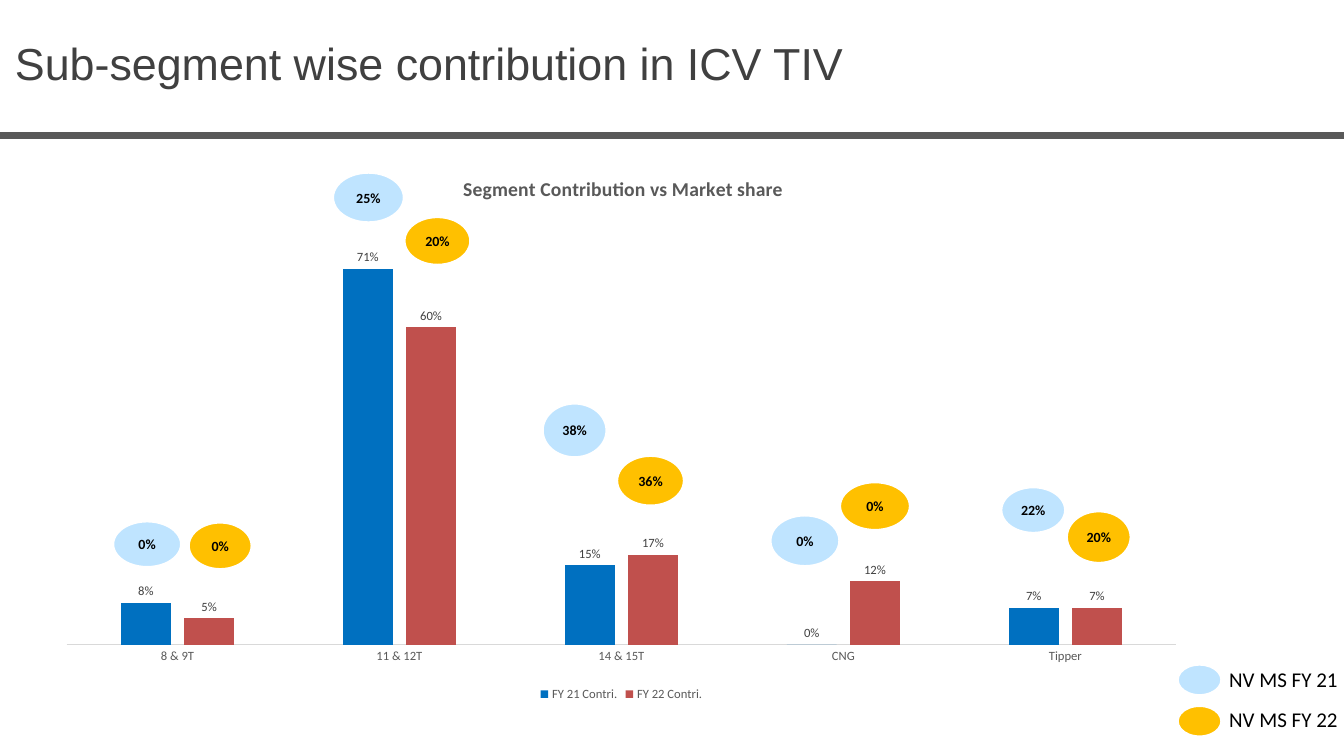
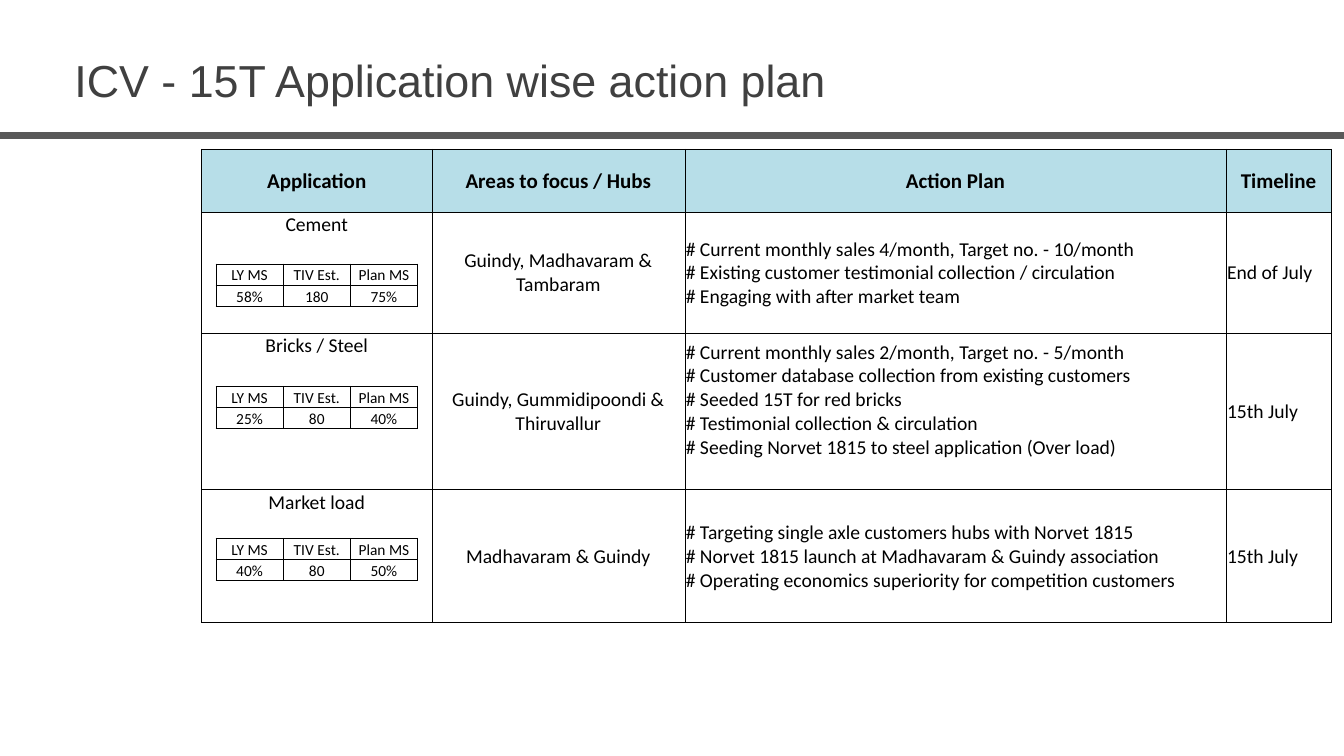
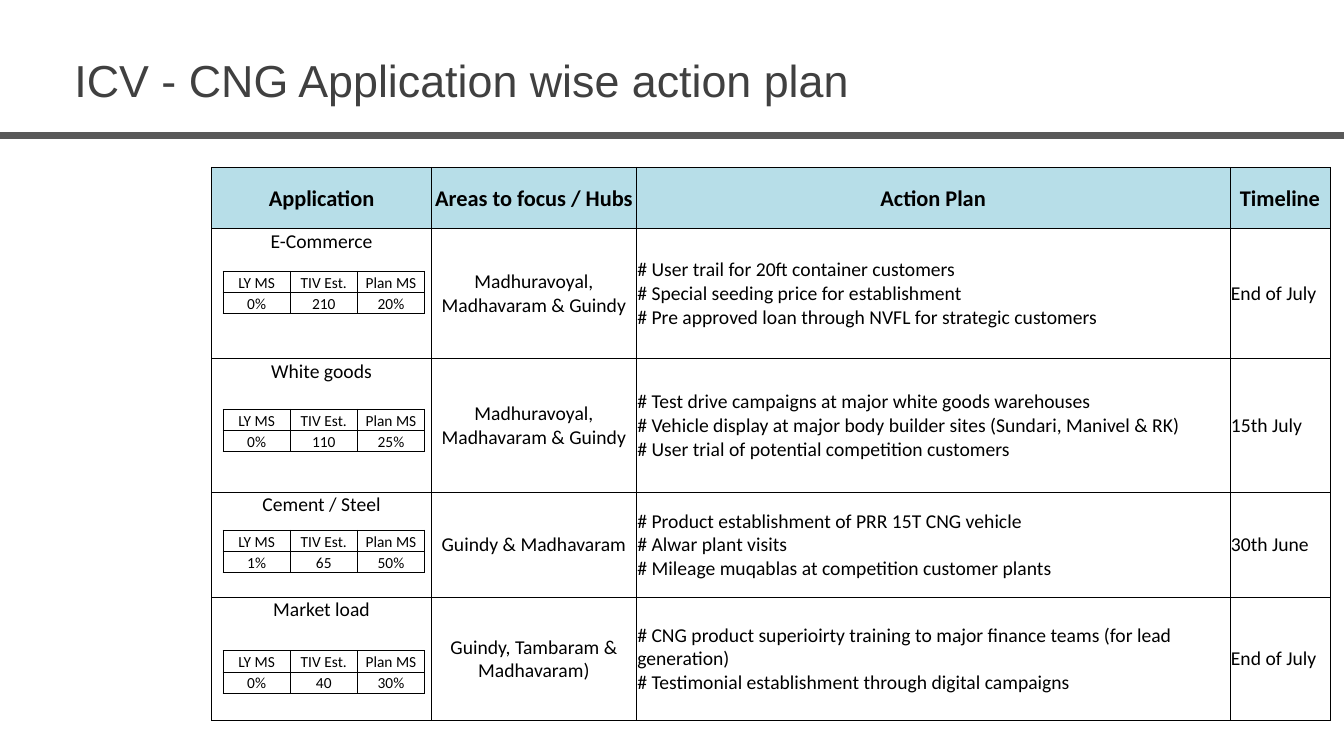
"""Build three slides on the ICV segment: a share chart and two action plans."""
from lxml import etree
from pptx import Presentation
from pptx.chart.data import CategoryChartData
from pptx.dml.color import RGBColor
from pptx.enum import chart as ec, shapes as es, text as et
from pptx.oxml import parse_xml
from pptx.oxml.ns import nsdecls, qn
from pptx.util import Pt

BLACK = RGBColor(0, 0, 0)
WHITE = RGBColor(255, 255, 255)
INK = RGBColor(0x40, 0x40, 0x40)
GREY = RGBColor(0x59, 0x59, 0x59)
PALE = RGBColor(0xD9, 0xD9, 0xD9)
BLUE = RGBColor(0x00, 0x70, 0xC0)
RED = RGBColor(0xC0, 0x50, 0x4D)
SKY = RGBColor(0xBF, 0xE4, 0xFF)
GOLD = RGBColor(0xFF, 0xC0, 0x00)
TEAL = RGBColor(0xB7, 0xDE, 0xE8)
MID = et.MSO_ANCHOR.MIDDLE
CENTER = et.PP_ALIGN.CENTER
LEFT = et.PP_ALIGN.LEFT


def style(font, size, color=BLACK, bold=False, name="Calibri"):
    look = {"size": Pt(size), "bold": bold, "name": name}
    for key, val in look.items():
        setattr(font, key, val)
    font.color.rgb = color


def grid(slide, x, y, cols, rows, data, look):
    frame = slide.shapes.add_table(len(rows), len(cols), Pt(x), Pt(y), Pt(sum(cols)), Pt(sum(rows)))
    table = frame.table
    table.first_row = table.horz_banding = False
    for col, wide in zip(table.columns, cols):
        col.width = Pt(wide)
    for r, (row, high) in enumerate(zip(data, rows)):
        table.rows[r].height = Pt(high)
        for c, words in enumerate(row):
            size, bold, fill, align, anchor = look(r, c)
            cell = table.cell(r, c)
            cell.text = words
            form = {"margin_left": Pt(0.7), "margin_right": Pt(0.7), "margin_top": Pt(0.7),
                    "margin_bottom": Pt(0), "vertical_anchor": anchor}
            for key, val in form.items():
                setattr(cell, key, val)
            for para in cell.text_frame.paragraphs:
                para.alignment = align
                style(para.font, size, bold=bold)
            if fill:
                cell.fill.solid()
                cell.fill.fore_color.rgb = fill
            else:
                cell.fill.background()
            props = cell._tc.get_or_add_tcPr()
            for i, side in enumerate("LRTB"):
                props.insert(i, parse_xml(
                    f'<a:ln{side} {nsdecls("a")} w="{Pt(0.5)}"><a:solidFill>'
                    f'<a:srgbClr val="{BLACK}"/></a:solidFill></a:ln{side}>'))
    return table


deck = Presentation()
deck.slide_width, deck.slide_height = Pt(960), Pt(540)
slides = []
for title, x, y, wide in [
    ("Sub-segment wise contribution in ICV TIV", 3.6, 22.3, 621.4),
    ("ICV - 15T Application wise action plan", 46.1, 33.8, 593.3),
    ("ICV - CNG Application wise action plan", 46.1, 33.8, 593.3),
]:
    slide = deck.slides.add_slide(deck.slide_layouts[6])
    rule = slide.shapes.add_connector(es.MSO_CONNECTOR.STRAIGHT, 0, Pt(97), Pt(960), Pt(97))
    rule.line.color.rgb, rule.line.width = GREY, Pt(5)
    etree.SubElement(rule._element.spPr, qn("a:effectLst"))
    head = slide.shapes.add_textbox(Pt(x), Pt(y), Pt(wide), Pt(46)).text_frame
    head.word_wrap = True
    head.text = title
    style(head.paragraphs[0].font, 32, INK, name="Arial")
    slides.append(slide)

share = slides[0]
data = CategoryChartData(number_format="0%")
data.categories = ["8 & 9T", "11 & 12T", "14 & 15T", "CNG", "Tipper"]
data.add_series("FY 21 Contri.", [0.08, 0.71, 0.15, 0, 0.07])
data.add_series("FY 22 Contri.", [0.05, 0.6, 0.17, 0.12, 0.07])
chart = share.shapes.add_chart(ec.XL_CHART_TYPE.COLUMN_CLUSTERED, Pt(31), Pt(110.9),
                               Pt(825.8), Pt(393.1), data).chart
style(chart.font, 10)
chart.has_title = True
name = chart.chart_title.text_frame
name.text = "Segment Contribution vs Market share"
style(name.paragraphs[0].runs[0].font, 14, GREY, True)
chart.has_legend = True
chart.legend.position = ec.XL_LEGEND_POSITION.BOTTOM
chart.legend.include_in_layout = False
style(chart.legend.font, 9, GREY)
cat = chart.category_axis
cat.major_tick_mark = ec.XL_TICK_MARK.NONE
cat.format.line.color.rgb, cat.format.line.width = PALE, Pt(0.75)
style(cat.tick_labels.font, 9, GREY)
scale = {"visible": False, "has_major_gridlines": False, "minimum_scale": 0, "maximum_scale": 0.8}
for key, val in scale.items():
    setattr(chart.value_axis, key, val)
plot = chart.plots[0]
plot.gap_width, plot.overlap, plot.vary_by_categories = 219, -27, False
for bars, color in zip(plot.series, [BLUE, RED]):
    bars.format.fill.solid()
    bars.format.fill.fore_color.rgb = color
    tags = bars.data_labels
    form = {"show_value": True, "number_format": "0%", "number_format_is_linked": False,
            "position": ec.XL_LABEL_POSITION.OUTSIDE_END}
    for key, val in form.items():
        setattr(tags, key, val)
    style(tags.font, 9, INK)

for tag, spot, place in [
    ("c:title", 1, {"xMode": "edge", "yMode": "edge", "x": 0.36, "y": 0.03}),
    ("c:plotArea", 0, {"layoutTarget": "inner", "xMode": "edge", "yMode": "edge",
                       "x": 0.02, "y": 0.12, "w": 0.96, "h": 0.77}),
]:
    part = chart.element.find(".//" + qn(tag))
    for old in part.findall(qn("c:layout")):
        part.remove(old)
    marks = "".join(f'<c:{key} val="{val}"/>' for key, val in place.items())
    part.insert(spot, parse_xml(
        f'<c:layout {nsdecls("c")}><c:manualLayout>{marks}</c:manualLayout></c:layout>'))

for words, color, x, y, wide, high in [
    ("0%", SKY, 80.6, 372.2, 49, 33.1),
    ("0%", GOLD, 134.6, 373, 45.4, 33.8),
    ("25%", SKY, 237.6, 123.1, 51.1, 36),
    ("0%", SKY, 550.1, 367.9, 49.7, 36.7),
    ("20%", GOLD, 288.7, 154.8, 47.5, 34.6),
    ("38%", SKY, 387.4, 288, 46.1, 38.9),
    ("36%", GOLD, 440.6, 325.4, 48.2, 36),
    ("0%", GOLD, 599.8, 344.2, 50.4, 34.6),
    ("22%", SKY, 715, 347.8, 46.1, 33.1),
    ("20%", GOLD, 761.8, 365, 46.1, 37.4),
    ("", SKY, 841, 474.5, 31.7, 22.3),
    ("", GOLD, 841, 504, 31.7, 22.3),
]:
    dot = share.shapes.add_shape(es.MSO_SHAPE.OVAL, Pt(x), Pt(y), Pt(wide), Pt(high))
    dot.shadow.inherit = False
    dot.fill.solid()
    dot.fill.fore_color.rgb = color
    dot.line.color.rgb, dot.line.width = WHITE, Pt(2)
    if words:
        frame = dot.text_frame
        frame.word_wrap, frame.vertical_anchor = False, MID
        frame.text = words
        frame.paragraphs[0].alignment = CENTER
        style(frame.paragraphs[0].font, 10, bold=True)

for words, y in [("NV MS FY 21", 472.3), ("NV MS FY 22", 501.1)]:
    key = share.shapes.add_textbox(Pt(873), Pt(y), Pt(87), Pt(25.2)).text_frame
    key.word_wrap, key.margin_left, key.margin_right = False, Pt(5), 0
    key.text = words
    style(key.paragraphs[0].font, 15)

HEADS = ["Application", "Areas to focus / Hubs", "Action Plan", "Timeline"]
STATS = ["LY MS", "TIV Est.", "Plan MS"]
truck = [
    ["Cement", "Guindy, Madhavaram & Tambaram",
     "# Current monthly sales 4/month, Target no. - 10/month\n"
     "# Existing customer testimonial collection / circulation\n"
     "# Engaging with after market team", "End of July"],
    ["Bricks / Steel", "Guindy, Gummidipoondi & Thiruvallur",
     "# Current monthly sales 2/month, Target no. - 5/month\n"
     "# Customer database collection from existing customers\n"
     "# Seeded 15T for red bricks\n"
     "# Testimonial collection & circulation\n"
     "# Seeding Norvet 1815 to steel application (Over load)", "15th July"],
    ["Market load", "Madhavaram & Guindy",
     "# Targeting single axle customers hubs with Norvet 1815\n"
     "# Norvet 1815 launch at Madhavaram & Guindy association\n"
     "# Operating economics superiority for competition customers", "15th July"],
]
gas = [
    ["E-Commerce", "Madhuravoyal, Madhavaram & Guindy",
     "# User trail for 20ft container customers\n"
     "# Special seeding price for establishment\n"
     "# Pre approved loan through NVFL for strategic customers", "End of July"],
    ["White goods", "Madhuravoyal, Madhavaram & Guindy",
     "# Test drive campaigns at major white goods warehouses\n"
     "# Vehicle display at major body builder sites (Sundari, Manivel & RK)\n"
     "# User trial of potential competition customers", "15th July"],
    ["Cement / Steel", "Guindy & Madhavaram",
     "# Product establishment of PRR 15T CNG vehicle\n"
     "# Alwar plant visits\n"
     "# Mileage muqablas at competition customer plants", "30th June"],
    ["Market load", "Guindy, Tambaram & Madhavaram)",
     "# CNG product superioirty training to major finance teams (for lead generation)\n"
     "# Testimonial establishment through digital campaigns", "End of July"],
]
plans = []
for slide, x, y, cols, rows, body, size, left, stats in [
    (slides[1], 144, 106.6, [164.5, 180.7, 386.6, 75], [45, 86.4, 111.8, 95], truck, 15, 154.3,
     [(188.6, "58%", "180", "75%"), (275.8, "25%", "80", "40%"), (384.5, "40%", "80", "50%")]),
    (slides[2], 151.2, 119.5, [157, 146.4, 424, 71.5], [43.7, 93, 95.4, 75, 88], gas, 16, 159.3,
     [(193.7, "0%", "210", "20%"), (292.3, "0%", "110", "25%"), (378.7, "1%", "65", "50%"),
      (464.8, "0%", "40", "30%")]),
]:
    plans.append(grid(slide, x, y, cols, rows, [HEADS] + body, lambda r, c: (
        size if r == 0 else 14, r == 0, TEAL if r == 0 else None,
        CENTER if r == 0 or c < 2 else LEFT,
        et.MSO_ANCHOR.TOP if r and c == 0 else MID)))
    for top, *vals in stats:
        grid(slide, left, top, [48] * 3, [15.1] * 2, [STATS, vals],
             lambda r, c: (11, False, None, CENTER, et.MSO_ANCHOR.BOTTOM))
plans[0].cell(2, 2).margin_bottom = Pt(17)

deck.save("out.pptx")
